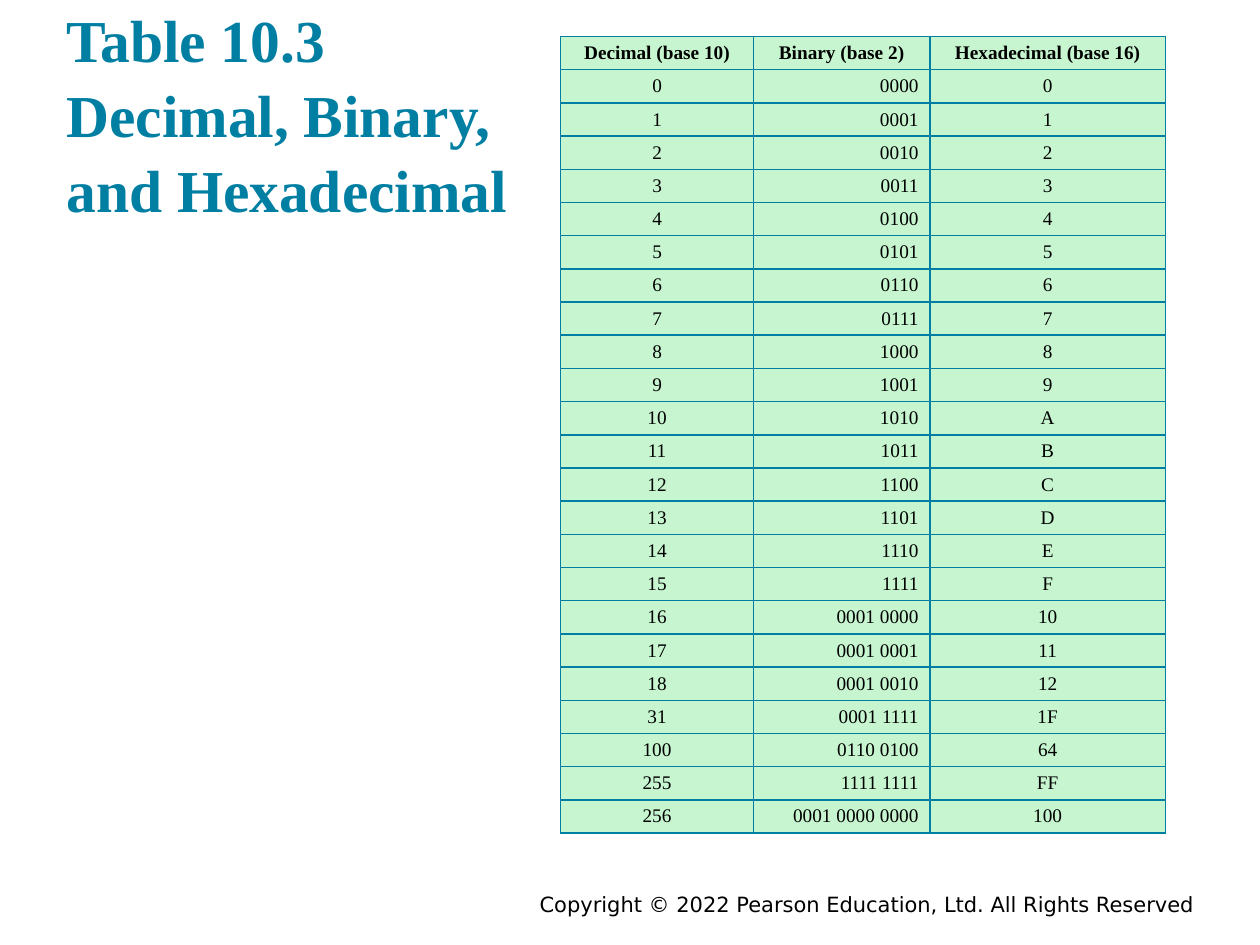
from dataclasses import dataclass

from lxml.etree import SubElement
from pptx import Presentation
from pptx.dml.color import RGBColor
from pptx.enum.text import MSO_ANCHOR, PP_ALIGN
from pptx.oxml.ns import qn
from pptx.util import Inches, Pt

TEAL = "007FA3"
MINT = "C6F5CF"
BLACK = "000000"
SERIF = "Times New Roman"
SANS = "DejaVu Sans"


@dataclass(frozen=True)
class Style:
    font: str
    size: float
    color: str
    bold: bool = False
    align: PP_ALIGN = PP_ALIGN.LEFT
    line_spacing: float = 1.0


@dataclass(frozen=True)
class Box:
    left: float
    top: float
    width: float
    height: float
    anchor: MSO_ANCHOR
    inset_x: float
    inset_y: float


@dataclass(frozen=True)
class Column:
    heading: str
    width: float
    align: PP_ALIGN


COLUMNS = (
    Column("Decimal (base 10)", 1.53, PP_ALIGN.CENTER),
    Column("Binary (base 2)", 1.4, PP_ALIGN.RIGHT),
    Column("Hexadecimal (base 16)", 1.87, PP_ALIGN.CENTER),
)
NUMBERS = (*range(19), 31, 100, 255, 256)
TABLE_LEFT, TABLE_TOP, TABLE_HEIGHT = 4.45, 0.29, 6.29


def rgb(color: str) -> RGBColor:
    return RGBColor.from_string(color)


def write_lines(frame, lines: list[str], style: Style) -> None:
    paragraph = frame.paragraphs[0]
    paragraph.alignment = style.align
    paragraph.line_spacing = style.line_spacing
    paragraph.font.size = Pt(style.size)
    for index, line in enumerate(lines):
        if index:
            paragraph.add_line_break()
        run = paragraph.add_run()
        run.text = line
        run.font.name = style.font
        run.font.size = Pt(style.size)
        run.font.bold = style.bold
        run.font.color.rgb = rgb(style.color)


def add_text(slide, box: Box, lines: list[str], style: Style) -> None:
    frame = slide.shapes.add_textbox(
        Inches(box.left), Inches(box.top), Inches(box.width), Inches(box.height)
    ).text_frame
    frame.word_wrap = True
    frame.vertical_anchor = box.anchor
    frame.margin_left = frame.margin_right = Inches(box.inset_x)
    frame.margin_top = frame.margin_bottom = Inches(box.inset_y)
    write_lines(frame, lines, style)


def add_borders(cell, color: str, width: float) -> None:
    properties = cell._tc.get_or_add_tcPr()
    for side in ("a:lnL", "a:lnR", "a:lnT", "a:lnB"):
        border = SubElement(properties, qn(side), w=str(Pt(width)))
        fill = SubElement(border, qn("a:solidFill"))
        SubElement(fill, qn("a:srgbClr"), val=color)


def fill_cell(cell, text: str, style: Style) -> None:
    add_borders(cell, TEAL, 1)
    cell.fill.solid()
    cell.fill.fore_color.rgb = rgb(MINT)
    cell.vertical_anchor = MSO_ANCHOR.MIDDLE
    cell.margin_left = cell.margin_right = Inches(0.09)
    cell.margin_top = cell.margin_bottom = Inches(0.04)
    write_lines(cell.text_frame, [text], style)


def number_row(number: int) -> tuple[str, str, str]:
    hexadecimal = f"{number:X}"
    binary = " ".join(f"{int(digit, 16):04b}" for digit in hexadecimal)
    return str(number), binary, hexadecimal


def add_number_table(slide) -> None:
    headings = tuple(column.heading for column in COLUMNS)
    rows = [headings, *map(number_row, NUMBERS)]
    table = slide.shapes.add_table(
        len(rows), len(COLUMNS), Inches(TABLE_LEFT), Inches(TABLE_TOP),
        Inches(sum(column.width for column in COLUMNS)), Inches(TABLE_HEIGHT),
    ).table
    table.horz_banding = False
    for index, column in enumerate(COLUMNS):
        table.columns[index].width = Inches(column.width)
    for row_index, values in enumerate(rows):
        table.rows[row_index].height = Inches(TABLE_HEIGHT / len(rows))
        is_heading = row_index == 0
        for column_index, (column, value) in enumerate(zip(COLUMNS, values)):
            align = PP_ALIGN.CENTER if is_heading else column.align
            style = Style(SERIF, 11, BLACK, bold=is_heading, align=align)
            fill_cell(table.cell(row_index, column_index), value, style)


def main() -> None:
    presentation = Presentation()
    presentation.slide_width = Inches(10)
    presentation.slide_height = Inches(7.5)
    slide = presentation.slides.add_slide(presentation.slide_layouts[6])
    add_text(
        slide,
        Box(1.75, 7.03, 7.83, 0.22, MSO_ANCHOR.TOP, 0.1, 0.05),
        ["Copyright © 2022 Pearson Education, Ltd. All Rights Reserved"],
        Style(SANS, 12, BLACK, align=PP_ALIGN.RIGHT),
    )
    add_number_table(slide)
    add_text(
        slide,
        Box(0.43, 0.68, 9, 1.2, MSO_ANCHOR.BOTTOM, 0.1, 0.1),
        ["Table 10.3 ", "Decimal, Binary, ", "and Hexadecimal"],
        Style(SERIF, 34, TEAL, bold=True, line_spacing=1.05),
    )
    presentation.save("out.pptx")


if __name__ == "__main__":
    main()
